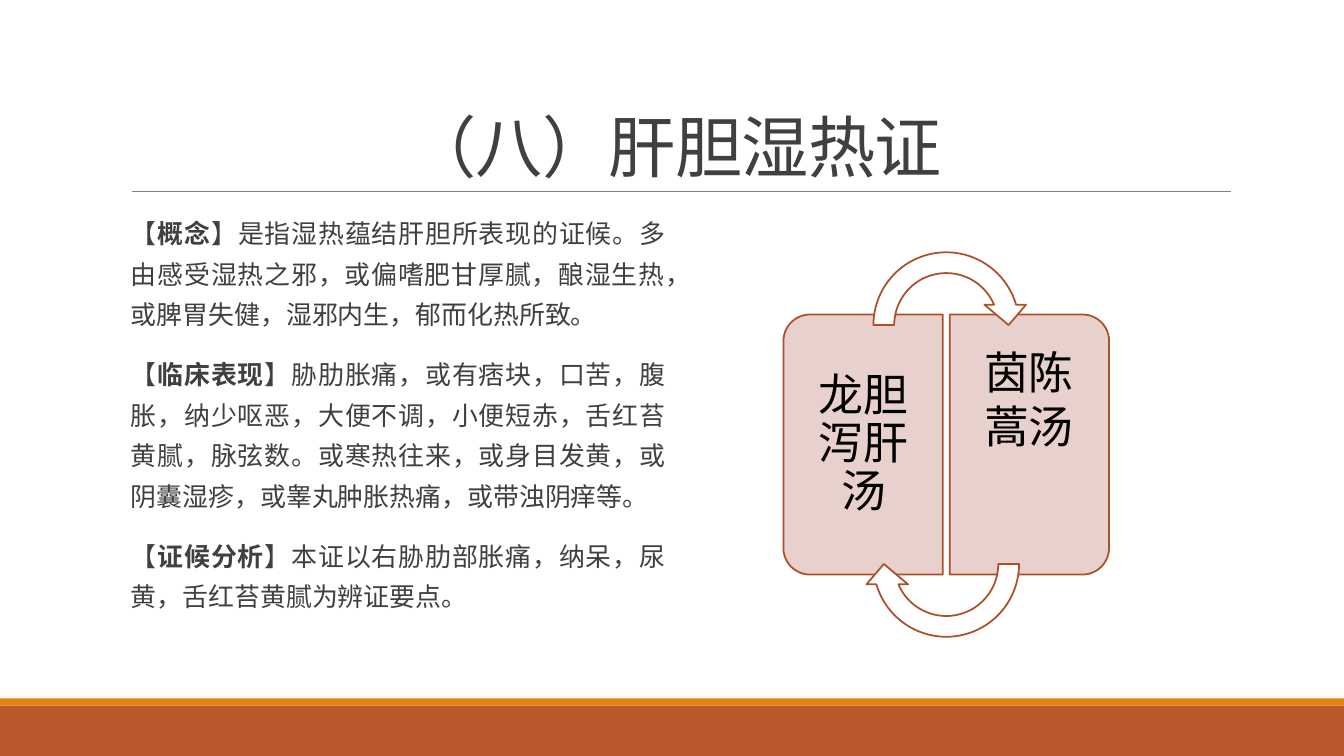
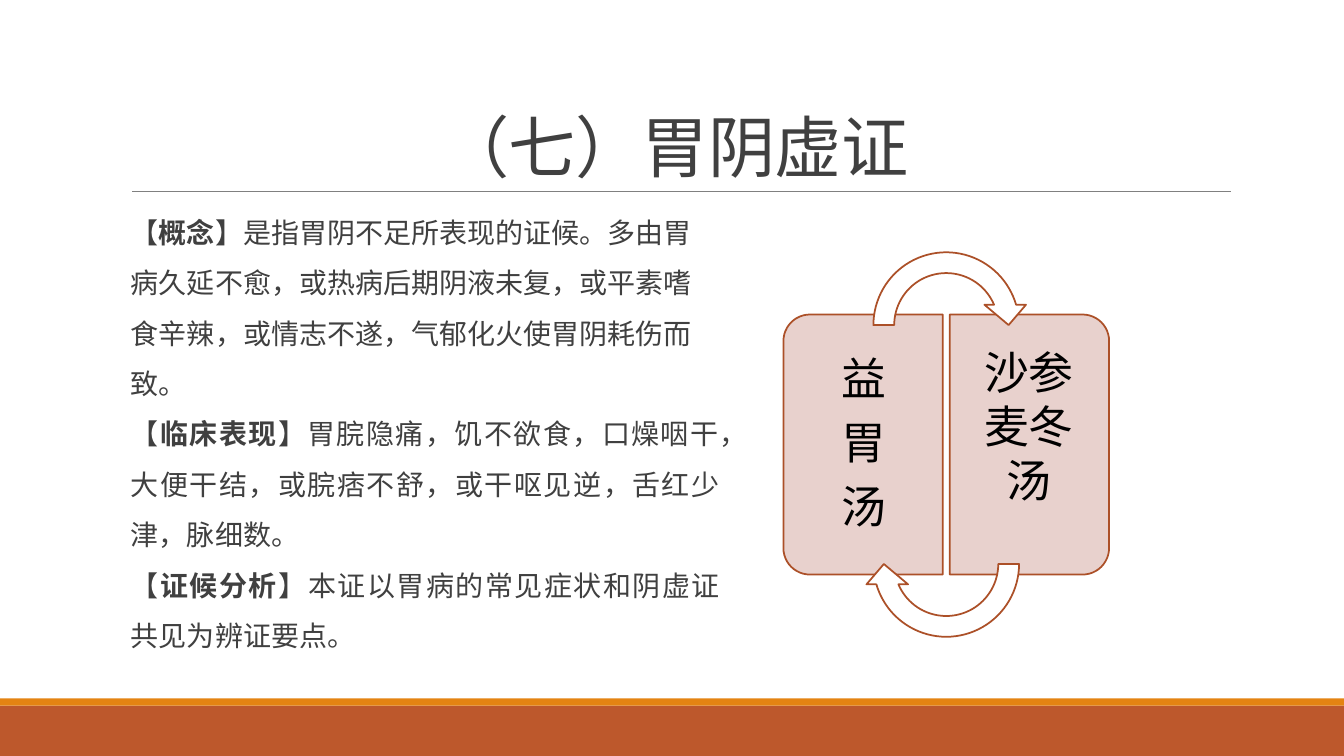
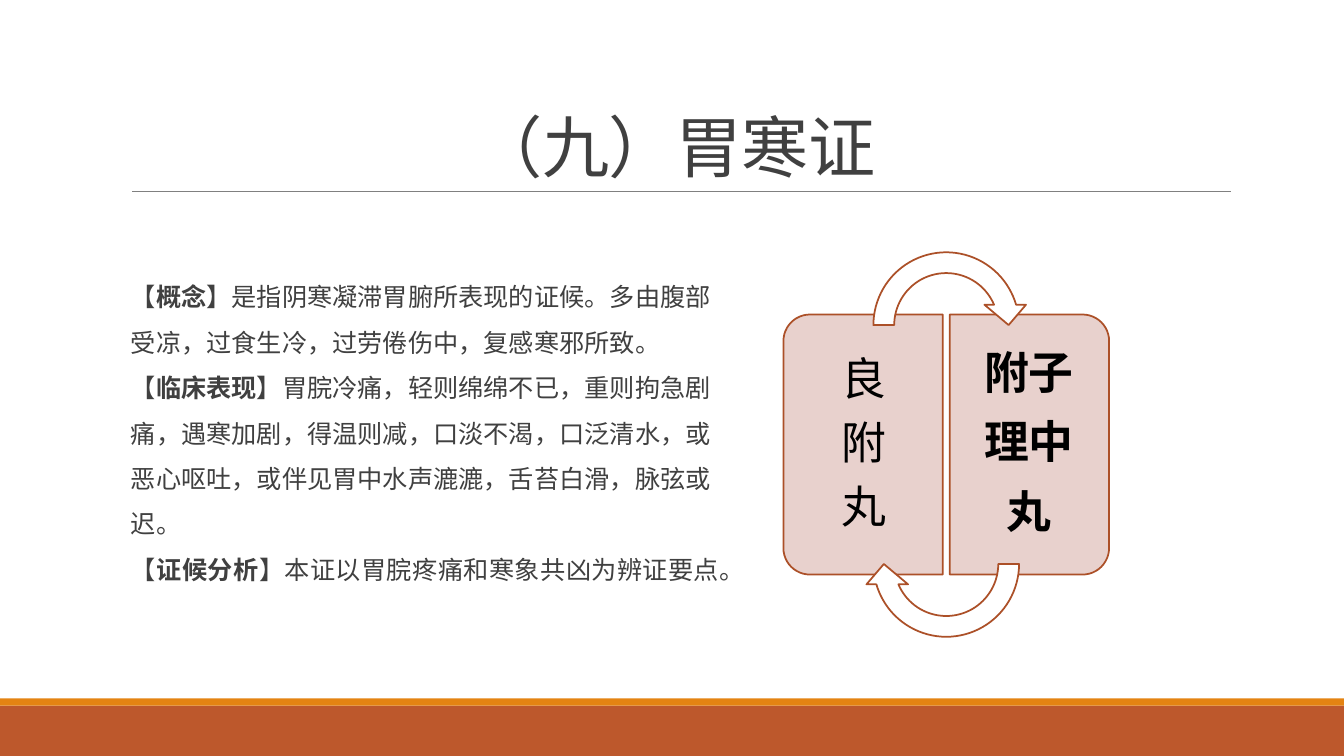
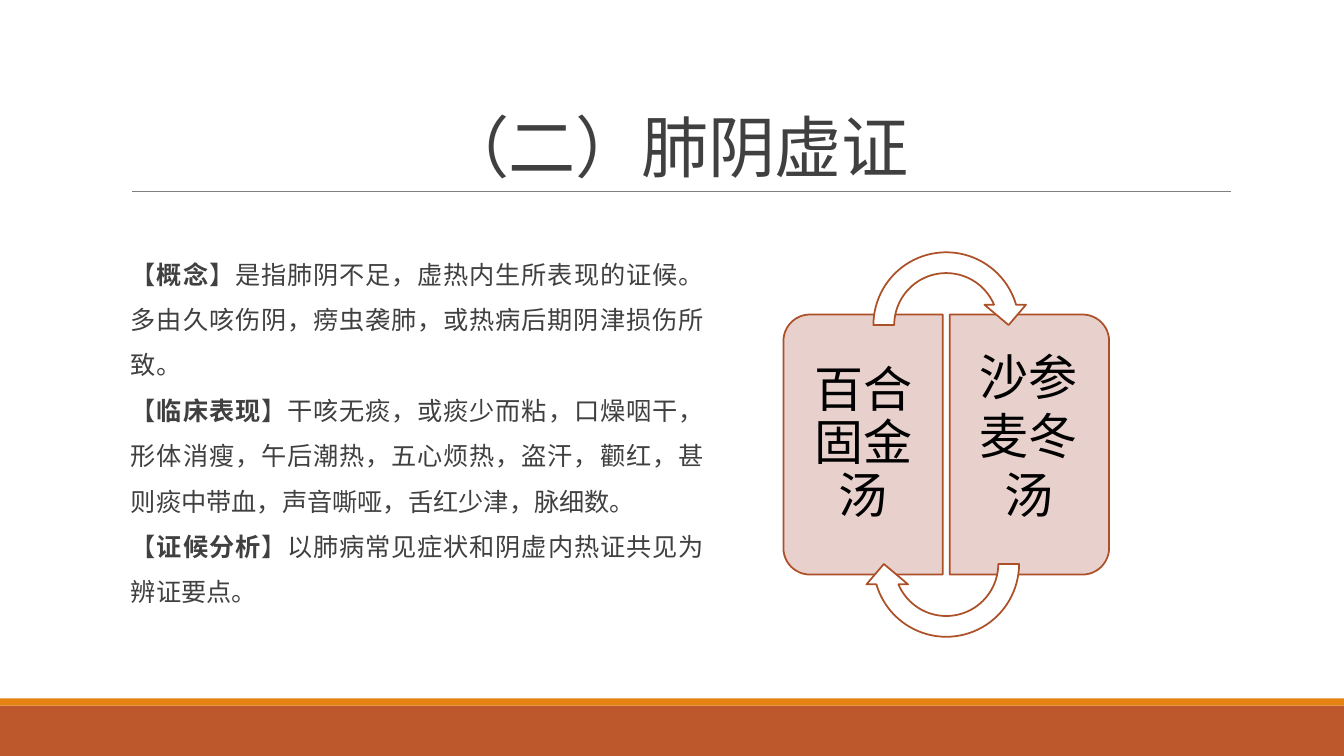
from dataclasses import dataclass
from typing import NamedTuple

from lxml.etree import SubElement
from pptx import Presentation
from pptx.dml.color import RGBColor
from pptx.enum.shapes import MSO_CONNECTOR, MSO_SHAPE
from pptx.enum.text import MSO_ANCHOR, PP_ALIGN
from pptx.oxml.ns import qn
from pptx.util import Emu, Pt

EMU_PER_PX = 9144


@dataclass(frozen=True)
class Theme:
    band: RGBColor = RGBColor.from_string("BD582C")
    stripe: RGBColor = RGBColor.from_string("E48312")
    rule: RGBColor = RGBColor.from_string("808080")
    text: RGBColor = RGBColor.from_string("404040")
    card: RGBColor = RGBColor.from_string("E8D1CD")
    outline: RGBColor = RGBColor.from_string("AC5028")
    card_text: RGBColor = RGBColor.from_string("000000")
    arrow: RGBColor = RGBColor.from_string("FFFFFF")
    heading_font: str = "Noto Sans CJK SC"
    body_font: str = "Calibri"
    title_size: float = 48
    rule_width: float = 0.5
    outline_width: float = 1.25
    card_gap_ratio: float = 0.35
    outer_inset_ratio: float = 0.42
    inner_inset_ratio: float = 0.63
    vertical_inset_ratio: float = 0.69


THEME = Theme()


class Box(NamedTuple):
    left: int
    top: int
    width: int
    height: int

    def emu(self):
        return [px(length) for length in self]


class Section(NamedTuple):
    heading: str
    text: str
    align: PP_ALIGN = PP_ALIGN.JUSTIFY


class BodyStyle(NamedTuple):
    width: int
    size: float
    line_spacing: float = 1.5
    anchor: MSO_ANCHOR = MSO_ANCHOR.MIDDLE
    before: float = 0
    after: float = 0


class Syndrome(NamedTuple):
    title: str
    style: BodyStyle
    sections: list
    left_formula: list
    right_formula: list
    formula_size: float = 32
    right_bold: bool = False


SLIDE = Box(0, 0, 1333, 750)
TITLE = Box(120, 31, 1100, 159)
BODY_LEFT, BODY_TOP, BODY_HEIGHT = 120, 202, 440
DIAGRAM = Box(777, 240, 323, 402)

SYNDROMES = [
    Syndrome(
        "（八）肝胆湿热证",
        BodyStyle(540, 18.5, 1.3, MSO_ANCHOR.TOP, 12, 2),
        [
            Section("概念", "是指湿热蕴结肝胆所表现的证候。多由感受湿热之邪，或偏嗜肥甘厚腻，酿湿生热，或脾胃失健，湿邪内生，郁而化热所致。"),
            Section("临床表现", "胁肋胀痛，或有痞块，口苦，腹胀，纳少呕恶，大便不调，小便短赤，舌红苔黄腻，脉弦数。或寒热往来，或身目发黄，或阴囊湿疹，或睾丸肿胀热痛，或带浊阴痒等。"),
            Section("证候分析", "本证以右胁肋部胀痛，纳呆，尿黄，舌红苔黄腻为辨证要点。"),
        ],
        ["龙胆泻肝汤"],
        ["茵陈蒿汤"],
    ),
    Syndrome(
        "（七）胃阴虚证",
        BodyStyle(594, 20),
        [
            Section("概念", "是指胃阴不足所表现的证候。多由胃病久延不愈，或热病后期阴液未复，或平素嗜食辛辣，或情志不遂，气郁化火使胃阴耗伤而致。", PP_ALIGN.LEFT),
            Section("临床表现", "胃脘隐痛，饥不欲食，口燥咽干，大便干结，或脘痞不舒，或干呕见逆，舌红少津，脉细数。"),
            Section("证候分析", "本证以胃病的常见症状和阴虚证共见为辨证要点。"),
        ],
        ["益", "胃", "汤"],
        ["沙参麦冬汤"],
    ),
    Syndrome(
        "（九）胃寒证",
        BodyStyle(594, 18),
        [
            Section("概念", "是指阴寒凝滞胃腑所表现的证候。多由腹部受凉，过食生冷，过劳倦伤中，复感寒邪所致。", PP_ALIGN.LEFT),
            Section("临床表现", "胃脘冷痛，轻则绵绵不已，重则拘急剧痛，遇寒加剧，得温则减，口淡不渴，口泛清水，或恶心呕吐，或伴见胃中水声漉漉，舌苔白滑，脉弦或迟。", PP_ALIGN.LEFT),
            Section("证候分析", "本证以胃脘疼痛和寒象共凶为辨证要点。"),
        ],
        ["良", "附", "丸"],
        ["附子", "理中", "丸"],
        right_bold=True,
    ),
    Syndrome(
        "（二）肺阴虚证",
        BodyStyle(578, 18),
        [
            Section("概念", "是指肺阴不足，虚热内生所表现的证候。多由久咳伤阴，痨虫袭肺，或热病后期阴津损伤所致。"),
            Section("临床表现", "干咳无痰，或痰少而粘，口燥咽干，形体消瘦，午后潮热，五心烦热，盗汗，颧红，甚则痰中带血，声音嘶哑，舌红少津，脉细数。"),
            Section("证候分析", "以肺病常见症状和阴虚内热证共见为辨证要点。"),
        ],
        ["百合固金汤"],
        ["沙参麦冬汤"],
        formula_size=35,
    ),
]


def px(length):
    return Emu(round(length) * EMU_PER_PX)


def add_filled_shape(slide, kind, box, fill, outline=None, rotation=0):
    shape = slide.shapes.add_shape(kind, *box.emu())
    shape.shadow.inherit = False
    shape.rotation = rotation
    shape.fill.solid()
    shape.fill.fore_color.rgb = fill
    if outline is None:
        shape.line.fill.background()
    else:
        shape.line.color.rgb = outline
        shape.line.width = Pt(THEME.outline_width)
    return shape


def add_text_frame(slide, box, anchor, insets):
    frame = slide.shapes.add_textbox(*box.emu()).text_frame
    frame.word_wrap = True
    frame.vertical_anchor = anchor
    left, top, right, bottom = insets
    frame.margin_left, frame.margin_top = px(left), px(top)
    frame.margin_right, frame.margin_bottom = px(right), px(bottom)
    return frame


def add_paragraph(frame, index, align, line_spacing, before=0, after=0):
    paragraph = frame.add_paragraph() if index else frame.paragraphs[0]
    paragraph.alignment = align
    paragraph.line_spacing = line_spacing
    paragraph.space_before = Pt(before if index else 0)
    paragraph.space_after = Pt(after)
    return paragraph


def add_run(paragraph, text, font, size, color, bold=False):
    run = paragraph.add_run()
    run.text = text
    run.font.name = font
    run.font.size = Pt(size)
    run.font.color.rgb = color
    run.font.bold = bold
    return run


def add_frame(slide, box):
    band_height, stripe_height = 50, 7
    band_top = box.top + box.height - band_height
    band = Box(box.left, band_top, box.width, band_height)
    stripe = Box(box.left, band_top - stripe_height, box.width, stripe_height)
    add_filled_shape(slide, MSO_SHAPE.RECTANGLE, band, THEME.band)
    add_filled_shape(slide, MSO_SHAPE.RECTANGLE, stripe, THEME.stripe)


def add_title(slide, box, text):
    bottom = px(box.top + box.height)
    rule = slide.shapes.add_connector(
        MSO_CONNECTOR.STRAIGHT, px(box.left + 11), bottom, px(box.left + box.width + 1), bottom
    )
    rule.line.color.rgb = THEME.rule
    rule.line.width = Pt(THEME.rule_width)
    SubElement(rule._element.spPr, qn("a:effectLst"))
    frame = add_text_frame(slide, box, MSO_ANCHOR.BOTTOM, (10, 5, 10, 5))
    paragraph = add_paragraph(frame, 0, PP_ALIGN.CENTER, 0.85)
    run = add_run(paragraph, text, THEME.heading_font, THEME.title_size, THEME.text)
    run.font._element.set("spc", "-50")


def add_body(slide, box, sections, style):
    frame = add_text_frame(slide, box, style.anchor, (10, 5, 0, 5))
    for index, section in enumerate(sections):
        paragraph = add_paragraph(
            frame, index, section.align, style.line_spacing, style.before, style.after
        )
        pieces = [("【", False), (section.heading, True), ("】" + section.text, False)]
        for text, bold in pieces:
            add_run(paragraph, text, THEME.body_font, style.size, THEME.text, bold)


def add_card(slide, box, rotation):
    center_x = box.left + box.width // 2
    center_y = box.top + box.height // 2
    upright = Box(center_x - box.height // 2, center_y - box.width // 2, box.height, box.width)
    add_filled_shape(
        slide, MSO_SHAPE.ROUND_2_SAME_RECTANGLE, upright, THEME.card, THEME.outline, rotation
    )


def add_formula(slide, box, lines, size, anchor, line_spacing, insets, bold=False):
    frame = add_text_frame(slide, box, anchor, insets)
    font = THEME.body_font if bold else THEME.heading_font
    for index, line in enumerate(lines):
        paragraph = add_paragraph(
            frame, index, PP_ALIGN.CENTER, line_spacing, after=size * THEME.card_gap_ratio
        )
        add_run(paragraph, line, font, size, THEME.card_text, bold)


def add_diagram(slide, box, syndrome):
    card_width, card_height, arrow_size = 158, 258, 165
    text_width, text_height = 150, 243
    size = syndrome.formula_size
    outer = size * THEME.outer_inset_ratio
    inner = size * THEME.inner_inset_ratio
    vertical = size * THEME.vertical_inset_ratio
    card_top = box.top + (box.height - card_height) // 2
    text_top = box.top + (box.height - text_height + 1) // 2
    left_card = Box(box.left, card_top, card_width, card_height)
    right_card = left_card._replace(left=box.left + box.width - card_width)
    left_text = Box(left_card.left + card_width - text_width, text_top, text_width, text_height)
    right_text = left_text._replace(left=right_card.left)

    add_card(slide, left_card, 270)
    add_formula(
        slide, left_text, syndrome.left_formula, size, MSO_ANCHOR.MIDDLE, 0.9,
        (outer, vertical, inner, vertical),
    )
    add_card(slide, right_card, 90)
    add_formula(
        slide, right_text, syndrome.right_formula, size, MSO_ANCHOR.TOP, 1.0,
        (inner, vertical, outer, vertical), syndrome.right_bold,
    )
    arrow_left = box.left + (box.width - arrow_size) // 2
    for arrow_top, rotation in ((box.top, 0), (box.top + box.height - arrow_size, 180)):
        arrow = Box(arrow_left, arrow_top, arrow_size, arrow_size)
        add_filled_shape(
            slide, MSO_SHAPE.CIRCULAR_ARROW, arrow, THEME.arrow, THEME.outline, rotation
        )


def add_syndrome_slide(presentation, syndrome):
    slide = presentation.slides.add_slide(presentation.slide_layouts[6])
    body = Box(BODY_LEFT, BODY_TOP, syndrome.style.width, BODY_HEIGHT)
    add_frame(slide, SLIDE)
    add_title(slide, TITLE, syndrome.title)
    add_body(slide, body, syndrome.sections, syndrome.style)
    add_diagram(slide, DIAGRAM, syndrome)


def main():
    presentation = Presentation()
    presentation.slide_width = px(SLIDE.width)
    presentation.slide_height = px(SLIDE.height)
    for syndrome in SYNDROMES:
        add_syndrome_slide(presentation, syndrome)
    presentation.save("out.pptx")


if __name__ == "__main__":
    main()
